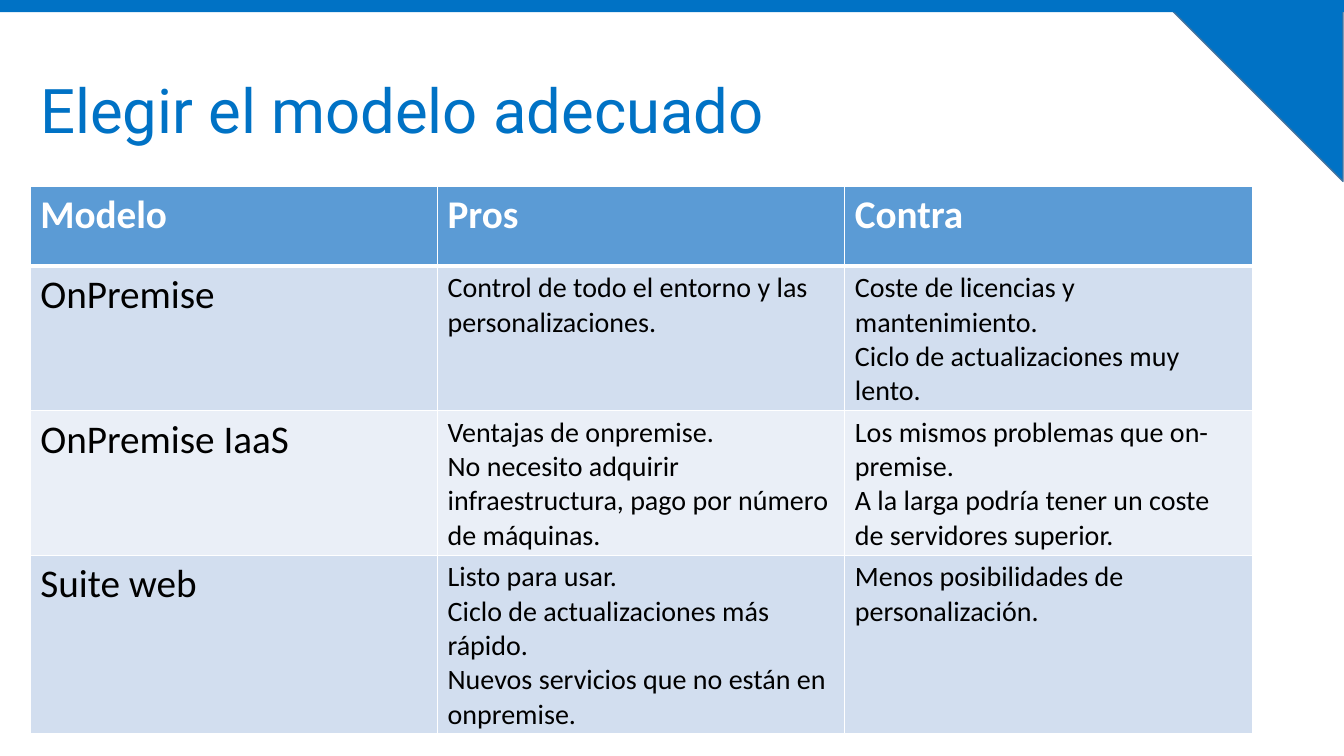
from lxml.etree import SubElement
from pptx import Presentation
from pptx.dml.color import RGBColor
from pptx.enum.shapes import MSO_SHAPE
from pptx.enum.text import MSO_ANCHOR
from pptx.oxml.ns import qn
from pptx.util import Inches, Pt

BLUE = "0072C5"
HEADER_FILL = "5B9BD5"
BAND_FILLS = ["D2DEEF", "EAEFF7"]
COL_WIDTH = 4.04
ROW_HEIGHTS = [0.79, 1.31, 1.31, 1.62]

# Each cell is a list of paragraphs
ROWS = [
    [["Modelo"], ["Pros"], ["Contra"]],
    [["OnPremise"],
     ["Control de todo el entorno y las personalizaciones."],
     ["Coste de licencias y mantenimiento.",
      "Ciclo de actualizaciones muy lento."]],
    [["OnPremise IaaS"],
     ["Ventajas de onpremise.",
      "No necesito adquirir infraestructura, pago por número de máquinas."],
     ["Los mismos problemas que on-premise.",
      "A la larga podría tener un coste de servidores superior."]],
    [["Suite web"],
     ["Listo para usar.",
      "Ciclo de actualizaciones más rápido.",
      "Nuevos servicios que no están en onpremise."],
     ["Menos posibilidades de personalización."]],
]


def rgb(value):
    return RGBColor.from_string(value)


def write_text(tf, paragraphs, size, color="000000", font="Calibri",
               bold=False, spacing=None):
    tf.word_wrap = True
    for i, text in enumerate(paragraphs):
        p = tf.add_paragraph() if i else tf.paragraphs[0]
        p.line_spacing = spacing
        r = p.add_run()
        r.text = text
        r.font.name = font
        r.font.size = Pt(size)
        r.font.bold = bold
        r.font.color.rgb = rgb(color)


def add_block(s, kind, left, top, width, height, line=None, rotation=0):
    sp = s.shapes.add_shape(kind, Inches(left), Inches(top),
                            Inches(width), Inches(height))
    sp.shadow.inherit = False
    sp.rotation = rotation
    sp.fill.solid()
    sp.fill.fore_color.rgb = rgb(BLUE)
    if line:
        sp.line.color.rgb = rgb(line)
        sp.line.width = Pt(1)
    else:
        sp.line.fill.background()


def add_title(s, text):
    sp = s.shapes.add_textbox(Inches(0.3), Inches(0.4),
                              Inches(12.12), Inches(1.45))
    sp.text_frame.vertical_anchor = MSO_ANCHOR.MIDDLE
    write_text(sp.text_frame, [text], 44, color=BLUE, font="Roboto",
               spacing=0.9)


def set_borders(cell, widths):
    tc_pr = cell._tc.get_or_add_tcPr()
    for side, width in zip("LRTB", widths):
        ln = SubElement(tc_pr, qn(f"a:ln{side}"), w=str(Pt(width)))
        fill = SubElement(ln, qn("a:solidFill"))
        SubElement(fill, qn("a:srgbClr"), val="FFFFFF")


def add_model_table(s):
    n_cols = len(ROWS[0])
    frame = s.shapes.add_table(len(ROWS), n_cols, Inches(0.3), Inches(1.85),
                               Inches(COL_WIDTH * n_cols),
                               Inches(sum(ROW_HEIGHTS)))
    table = frame.table
    for col in table.columns:
        col.width = Inches(COL_WIDTH)
    for i, row in enumerate(ROWS):
        table.rows[i].height = Inches(ROW_HEIGHTS[i])
        header = i == 0
        for j, paragraphs in enumerate(row):
            cell = table.cell(i, j)
            # The rule under the header is thicker
            set_borders(cell, [1, 1, 3 if i == 1 else 1, 3 if header else 1])
            cell.fill.solid()
            cell.fill.fore_color.rgb = rgb(
                HEADER_FILL if header else BAND_FILLS[(i - 1) % 2])
            write_text(cell.text_frame, paragraphs,
                       28 if header or j == 0 else 20,
                       color="FFFFFF" if header else "000000", bold=header)


def main():
    prs = Presentation()
    prs.slide_width = Inches(13.33)
    prs.slide_height = Inches(7.5)
    s = prs.slides.add_slide(prs.slide_layouts[6])

    # Corner and top band
    add_block(s, MSO_SHAPE.RIGHT_TRIANGLE, 11.52, 0, 1.8, 1.8,
              line="43739E", rotation=180)
    add_block(s, MSO_SHAPE.RECTANGLE, 0, 0, 13.33, 0.12)

    # Title and comparison
    add_title(s, "Elegir el modelo adecuado")
    add_model_table(s)

    prs.save("out.pptx")


if __name__ == "__main__":
    main()
